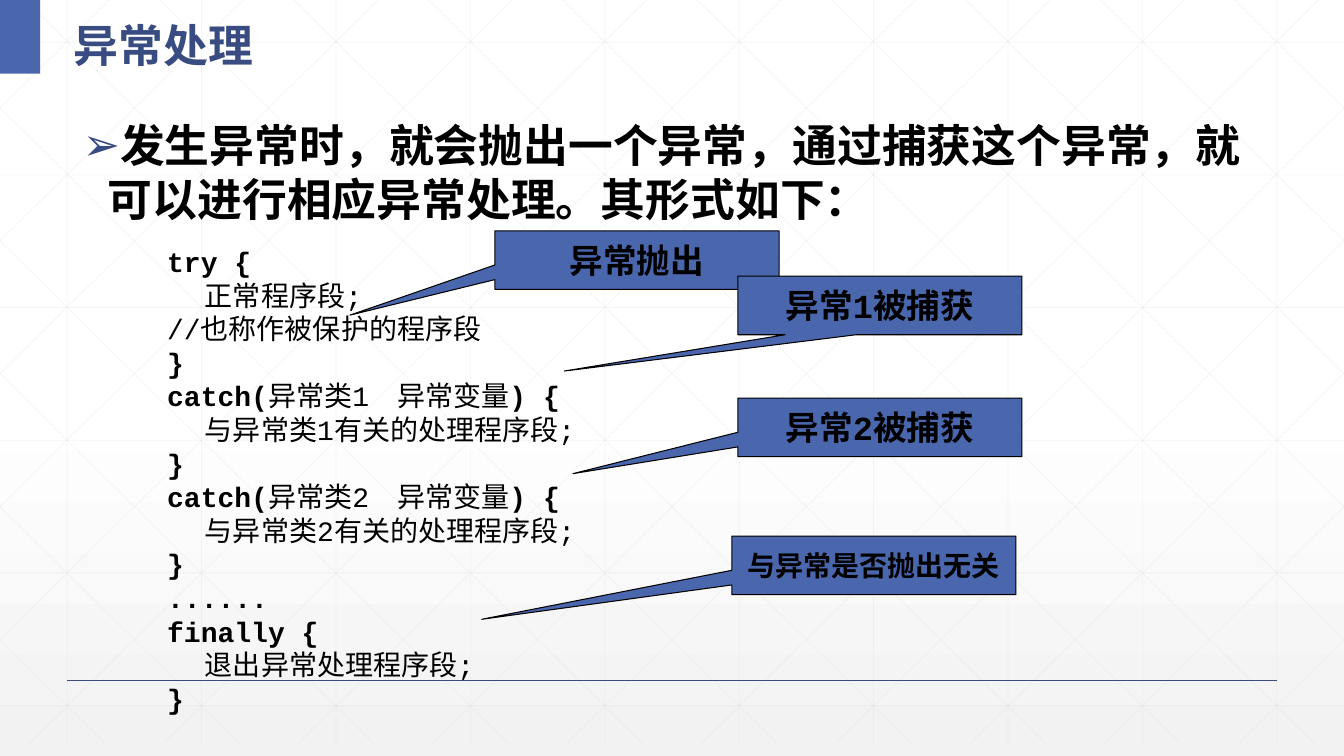
"""Build a slide on exception handling with code and callouts."""
from lxml import etree
from pptx import Presentation
from pptx.dml.color import RGBColor
from pptx.enum.shapes import MSO_CONNECTOR, MSO_SHAPE
from pptx.enum.text import MSO_ANCHOR, MSO_AUTO_SIZE, PP_ALIGN
from pptx.oxml.ns import qn
from pptx.util import Pt

STRAIGHT = MSO_CONNECTOR.STRAIGHT
RECT = MSO_SHAPE.RECTANGLE
WEDGE = MSO_SHAPE.RECTANGULAR_CALLOUT
LEFT, CENTER = PP_ALIGN.LEFT, PP_ALIGN.CENTER
TOP, MIDDLE = MSO_ANCHOR.TOP, MSO_ANCHOR.MIDDLE
NO_FIT = MSO_AUTO_SIZE.NONE

THEME = {
    "blue": "4A66AC", "navy": "384C81", "black": "000000",
    "grid": "D9D9D9", "white": "FFFFFF", "pale": "F2F2F2",
    "sans": "Noto Sans CJK SC", "mono": "Courier New",
    "big": 32, "mid": 24, "small": 20,
}

TITLE = "异常处理"
LEAD = "发生异常时，就会抛出一个异常，通过捕获这个异常，就可以进行相应异常处理。其形式如下："
BOLD, PLAIN = True, False


def catch(num):
    """Return the code lines of one catch block."""
    return [
        [("catch(", BOLD), (f"异常类{num}　异常变量", PLAIN), (") {", BOLD)],
        [(f"\t与异常类{num}有关的处理程序段;", PLAIN)],
        [("}", BOLD)],
    ]


CODE = [
    [("try {", BOLD)],
    [("\t正常程序段;", PLAIN)],
    [("//也称作被保护的程序段", PLAIN)],
    [("}", BOLD)],
    *catch(1),
    *catch(2),
    [("......", BOLD)],
    [("finally {", BOLD)],
    [("\t退出异常处理程序段;", PLAIN)],
    [("}", BOLD)],
]
CALLS = [
    ("异常抛出", "mid", 353.5, 164.9, (-1.01, 0.94)),
    ("异常1被捕获", "mid", 527, 197.3, (-1.11, 1.12)),
    ("异常2被捕获", "mid", 527, 284.4, (-1.08, 0.79)),
    ("与异常是否抛出无关", "small", 522.7, 383, (-1.38, 0.92)),
]

WIDE, HIGH = 960, 540
FLOOR, RUN, STEP = 531, 537, 96


def color(name):
    """Return a theme colour."""
    return RGBColor.from_string(THEME[name])


def write(para, text, font="mono", size="small", ink="black", bold=True):
    """Add one formatted run to a paragraph."""
    run = para.add_run()
    run.text = text
    run.font.name = THEME[font]
    run.font.size = Pt(THEME[size])
    run.font.bold = bold
    run.font.color.rgb = color(ink)
    east = etree.SubElement(run.font._element, qn("a:ea"))
    east.set("typeface", THEME["sans"])


def place(shape, left, top, width, height):
    """Move and size a shape in points."""
    shape.left, shape.top = Pt(left), Pt(top)
    shape.width, shape.height = Pt(width), Pt(height)


def frame(shape, anchor=TOP, wrap=True):
    """Set up the text frame of a shape and return it."""
    text = shape.text_frame
    text.auto_size = NO_FIT
    text.word_wrap = wrap
    text.vertical_anchor = anchor
    return text


def hang(para, indent):
    """Give a paragraph a hanging indent and return its properties."""
    props = para._p.get_or_add_pPr()
    props.set("marL", str(Pt(indent)))
    props.set("indent", str(-Pt(indent)))
    return props


def rule(start, end, ink="grid", width=0.5, alpha=None):
    """Draw a straight line between two points."""
    line = shapes.add_connector(STRAIGHT, *map(Pt, (*start, *end)))
    line.line.color.rgb = color(ink)
    line.line.width = Pt(width)
    props = line.element.spPr
    etree.SubElement(props, qn("a:effectLst"))
    if alpha:
        tone = next(props.iter(qn("a:srgbClr")))
        etree.SubElement(tone, qn("a:alpha")).set("val", str(alpha * 1000))


def box(kind, left, top, width, height):
    """Add a blue preset shape without a shadow."""
    shape = shapes.add_shape(kind, *map(Pt, (left, top, width, height)))
    shape.shadow.inherit = False
    shape.fill.solid()
    shape.fill.fore_color.rgb = color("blue")
    return shape


def slant(start):
    """Return the ends of a falling diagonal, cut at the slide edges."""
    first, last = max(start, 0), min(start + RUN, WIDE)
    return [(x, (x - start) * FLOOR / RUN) for x in (first, last)]


deck = Presentation()
deck.slide_width, deck.slide_height = Pt(WIDE), Pt(HIGH)
slide = deck.slides.add_slide(deck.slide_layouts[1])
shapes = slide.shapes

back = slide.background.fill
back.gradient()
back.gradient_angle = 270
for stop, (spot, tint) in zip(back.gradient_stops, [(0.53, "white"), (1, "pale")]):
    stop.position = spot
    stop.color.rgb = color(tint)

grid = [((x, 0), (x, FLOOR)) for x in range(48, WIDE, STEP)]
grid += [((0, 30.2 + 94.75 * row), (WIDE, 30.2 + 94.75 * row)) for row in range(6)]
for col in range(-5, 10):
    ends = slant(18 + STEP * col)
    grid += [ends, [(WIDE - x, y) for x, y in ends]]
for start, end in grid:
    rule(start, end, alpha=25)
rule((48, 486), (912, 486), ink="navy", width=1)
box(RECT, 0, 0, 28.8, 52.6).line.fill.background()

title, body = shapes.title, slide.placeholders[1]
for holder in (title, body):
    holder.element.getparent().append(holder.element)

place(title, 45.4, 0, 409.7, 52.6)
para = frame(title, MIDDLE).paragraphs[0]
para.alignment = LEFT
para.line_spacing = 1.3
write(para, TITLE, font="sans", size="big", ink="navy")

place(body, 51.8, 80.6, 845.3, 397.4)
para = frame(body).paragraphs[0]
para.space_before = Pt(18)
props = hang(para, 18)
tone = etree.SubElement(props, qn("a:buClr"))
etree.SubElement(tone, qn("a:srgbClr")).set("val", THEME["navy"])
etree.SubElement(props, qn("a:buChar")).set("char", "➢")
write(para, LEAD, font="sans", size="big")

code = frame(shapes.add_textbox(*map(Pt, (112.3, 175.7, 728.6, 329.8))))
for row, runs in enumerate(CODE):
    para = code.add_paragraph() if row else code.paragraphs[0]
    para.line_spacing = 0.8
    para.space_before = Pt(4.8)
    hang(para, 27)
    for text, bold in runs:
        write(para, text, bold=bold)

for text, size, left, top, tip in CALLS:
    call = box(WEDGE, left, top, 203, 41.8)
    call.line.color.rgb = color("black")
    call.line.width = Pt(0.75)
    call.adjustments[0], call.adjustments[1] = tip
    para = frame(call, MIDDLE, wrap=False).paragraphs[0]
    para.alignment = CENTER
    write(para, text, size=size)

deck.save("out.pptx")
